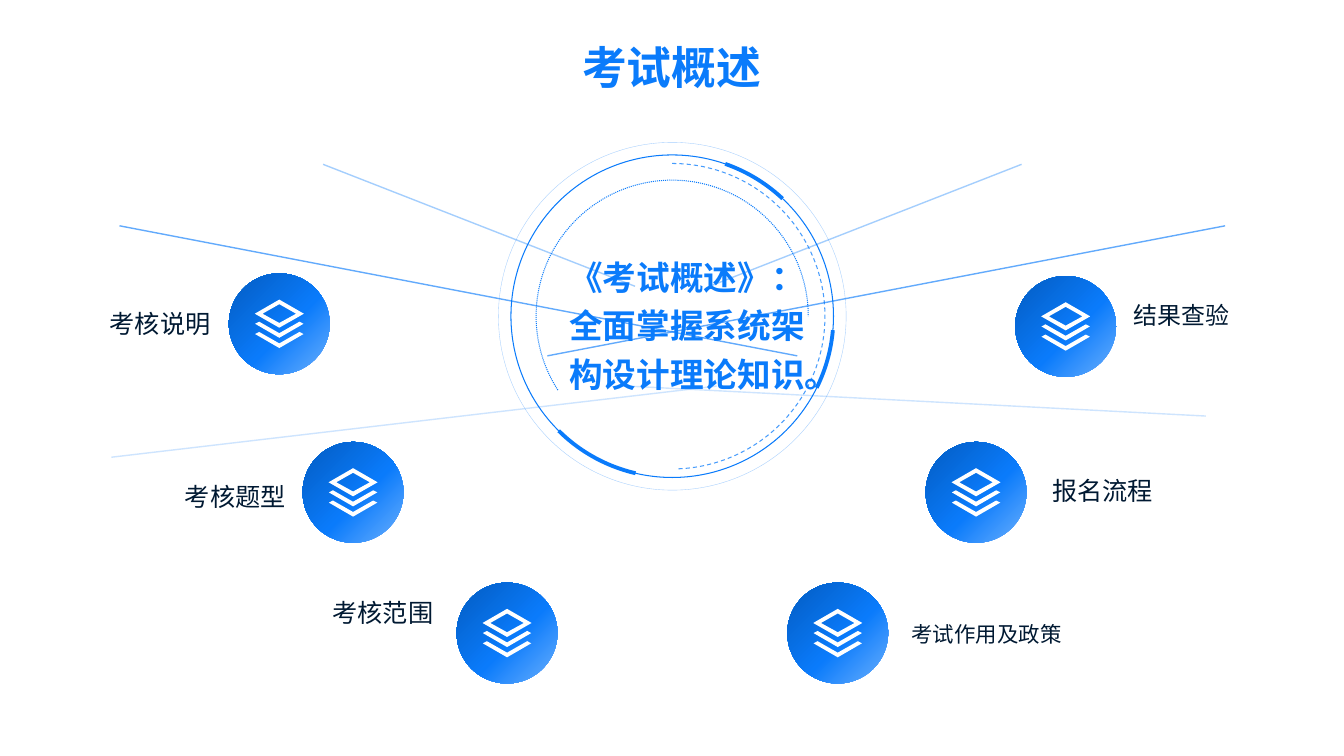
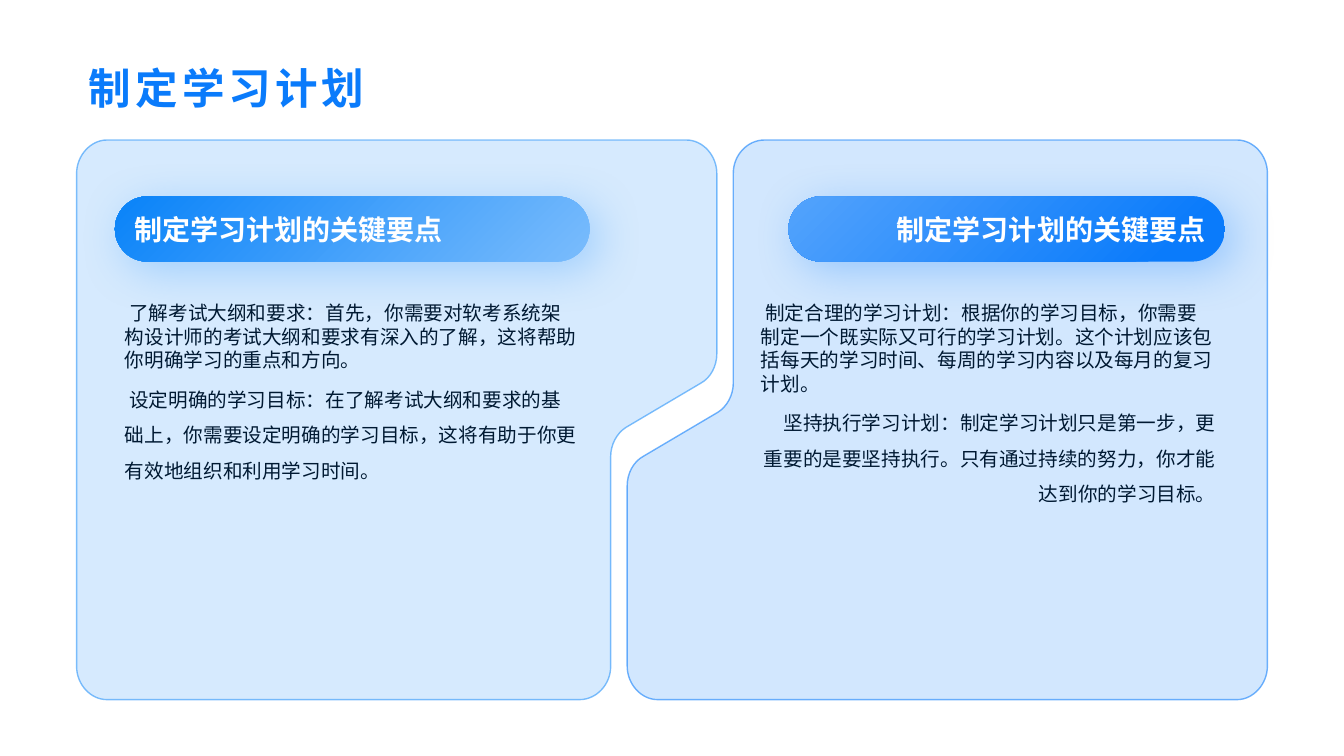
from lxml.etree import SubElement
from pptx import Presentation
from pptx.dml.color import RGBColor
from pptx.enum.dml import MSO_LINE_DASH_STYLE as Dash
from pptx.enum.shapes import MSO_CONNECTOR, MSO_SHAPE as Shape
from pptx.enum.text import MSO_ANCHOR as Anchor, MSO_AUTO_SIZE as AutoSize, PP_ALIGN as Align
from pptx.oxml import parse_xml
from pptx.oxml.ns import nsdecls, qn
from pptx.util import Pt

COLORS = {
    "blue": "0A7BFB", "ink": "001932", "white": "FFFFFF",
    "light": "6CB0FD", "deep": "035CC1", "sky": "7ABCFC",
    "azure": "2290FA", "pill_left": "0983F9", "pill_right": "53A3FC",
}
CJK, LATIN = "Noto Sans CJK SC", "Roboto"

OVERVIEW_TITLE = "考试概述"
OVERVIEW_CORE = "《考试概述》：全面掌握系统架构设计理论知识。"
RING_CENTER = (480.2, 225.9)
# diameter, line width, opacity
RINGS = [(248.4, 0.25, 36), (230.4, 0.75, 100)]
# diameter, start and end degrees, line width, opacity, dash
ARCS = [
    (194.4, 147.13, 0, 0.75, 100, Dash.ROUND_DOT),
    (218.2, 270, 88.24, 0.75, 75, Dash.DASH),
    (230.4, 289.2, 313.2, 2.75, 100, None),
    (230.4, 4.96, 26.38, 2.75, 100, None),
    (230.4, 103.13, 134.72, 2.75, 100, None),
]
# start, end, opacity
RAYS = [
    ((506.9, 204.5), (729.7, 117.4), 36),
    ((391, 254.2), (875.1, 161.3), 64),
    ((453.6, 204.5), (230.8, 117.4), 36),
    ((569.5, 254.2), (85.4, 161.3), 64),
    ((511.9, 275.8), (79.6, 326.6), 20),
    ((448.6, 275.8), (861.4, 297.2), 20),
]
# label, badge centre, label corner, size, line spacing, alignment
TOPICS = [
    ("考核说明", (199.5, 231.3), (27.1, 214.3), 18, 1, Align.RIGHT),
    ("考核题型", (252.2, 351.7), (80.8, 338.2), 18, 1, Align.RIGHT),
    ("考核范围", (362.2, 452.2), (186.3, 421), 18, 1, Align.RIGHT),
    ("考试作用及政策", (598.4, 452.2), (643.7, 437.4), 15.3, 0.9, Align.LEFT),
    ("报名流程", (697.2, 351.7), (744.5, 333.9), 18, 1, Align.LEFT),
    ("结果查验", (761.2, 233.2), (802.8, 208.1), 17.1, 1, Align.LEFT),
]
BADGE = 72
CHEVRON = [(14.4, -1.5), (17.3, 0), (0, 10), (-17.3, 0), (-14.4, -1.5), (0, 6.7)]
LAYERS_ICON = [
    [(x, y + 7.3) for x, y in CHEVRON],
    CHEVRON,
    [(0, -17.3), (17.5, -7.2), (0, 2.8), (-17.5, -7.2)],
    [(0, -14), (-12, -7.2), (0, -0.6), (12, -7.2)],
]

PLAN_TITLE = "制定学习计划"
PLAN_HEADING = "制定学习计划的关键要点"
# Bezier corners of the left panel; the right one is turned by half a circle
PANEL_CORNERS = [
    [(490.3, 100), (502, 100), (512, 111), (512, 124)],
    [(512, 252.7), (512, 261.4), (507.6, 270), (500.4, 273.8)],
    [(447.1, 305.3), (440.6, 309.4), (436.2, 317.5), (436.2, 326.2)],
    [(436.2, 476), (436.2, 489), (426, 499.7), (414, 499.7)],
    [(76.3, 499.7), (64.8, 499.7), (54.7, 489), (54.7, 476)],
    [(54.7, 124), (54.7, 111), (64.8, 100), (76.3, 100)],
]
PANELS = [
    {"turned": False, "fill": "sky", "line": "azure", "align": Align.LEFT,
     "pill": (82.1, 140.3, 339.1, 46.6), "stops": [(0, "pill_left"), (100, "sky")],
     "shadow": ("azure", 31), "body": (82.1, 211.7, 339.1, 225.4),
     "text": ["了解考试大纲和要求：首先，你需要对软考系统架构设计师的考试大纲和要求有深入的了解，这将帮助你明确学习的重点和方向。",
              "设定明确的学习目标：在了解考试大纲和要求的基础上，你需要设定明确的学习目标，这将有助于你更有效地组织和利用学习时间。"]},
    {"turned": True, "fill": "light", "line": "blue", "align": Align.RIGHT,
     "pill": (563.2, 140.3, 311.8, 46.6), "stops": [(0, "pill_right"), (87, "blue")],
     "shadow": ("blue", 30), "body": (536.4, 211.7, 339.1, 225.4),
     "text": ["制定合理的学习计划：根据你的学习目标，你需要制定一个既实际又可行的学习计划。这个计划应该包括每天的学习时间、每周的学习内容以及每月的复习计划。",
              "坚持执行学习计划：制定学习计划只是第一步，更重要的是要坚持执行。只有通过持续的努力，你才能达到你的学习目标。"]},
]


def rgb(name):
    return RGBColor.from_string(COLORS[name])


def points(values):
    return [Pt(value) for value in values]


def set_opacity(element, percent):
    if percent < 100:
        for color in element.iter(qn("a:srgbClr")):
            SubElement(color, qn("a:alpha"), val=str(percent * 1000))


def set_line(line, color, width, opacity=100, dash=None):
    line.color.rgb = rgb(color)
    line.width = Pt(width)
    if dash:
        line.dash_style = dash
    set_opacity(line._get_or_add_ln(), opacity)


def set_gradient(shape, stops, direction):
    """Fill with (percent, colour) stops; direction is the closing DrawingML element."""
    shape.fill.gradient()
    old = shape._element.spPr.find(qn("a:gradFill"))
    marks = "".join(f'<a:gs pos="{at * 1000}"><a:srgbClr val="{COLORS[color]}"/></a:gs>'
                    for at, color in stops)
    new = parse_xml(f'<a:gradFill {nsdecls("a")} rotWithShape="1">'
                    f"<a:gsLst>{marks}</a:gsLst>{direction}</a:gradFill>")
    old.getparent().replace(old, new)


def write(shape, texts, size, color="ink", bold=False, align=Align.LEFT, spacing=1.0,
          font=CJK, anchor=Anchor.MIDDLE, tracking=0):
    """Put the texts into the shape, one paragraph each, and return the paragraphs."""
    frame = shape.text_frame
    frame.word_wrap = True
    frame.auto_size = AutoSize.NONE
    frame.vertical_anchor = anchor
    for index, text in enumerate(texts):
        para = frame.add_paragraph() if index else frame.paragraphs[0]
        para.alignment = align
        para.line_spacing = spacing
        span = para.add_run()
        span.text = text
        span.font.name = font
        span.font.size = Pt(size)
        span.font.bold = bold
        span.font.color.rgb = rgb(color)
        props = span._r.get_or_add_rPr()
        SubElement(props, qn("a:ea"), typeface=CJK)
        if tracking:
            props.set("spc", str(tracking * 100))
    return frame.paragraphs


def add_titled_slide(deck, text, area, **style):
    page = deck.slides.add_slide(deck.slide_layouts[5])
    title = page.shapes.title
    title.left, title.top, title.width, title.height = points(area)
    write(title, [text], color="blue", bold=True, **style)
    return page


def add_plain(page, kind, area):
    shape = page.shapes.add_shape(kind, *points(area))
    shape.shadow.inherit = False
    return shape


def around(center, size):
    return center[0] - size / 2, center[1] - size / 2, size, size


def add_outline(page, contours):
    """Draw closed contours, given in points, as one shape."""
    scaled = [[(x * 100, y * 100) for x, y in contour] for contour in contours]
    builder = page.shapes.build_freeform(*scaled[0][0], scale=127.0)
    for index, contour in enumerate(scaled):
        if index:
            builder.move_to(*contour[0])
        builder.add_line_segments(contour[1:], close=True)
    shape = builder.convert_to_shape()
    shape.shadow.inherit = False
    shape.fill.solid()
    return shape


def round_corners(shape):
    """Turn the last three of every four outline points into one Bezier curve."""
    segments = list(shape._element.spPr.iter(qn("a:lnTo")))
    for first in range(0, len(segments), 4):
        corner = segments[first:first + 3]
        curve = parse_xml(f'<a:cubicBezTo {nsdecls("a")}/>')
        corner[0].addprevious(curve)
        for segment in corner:
            curve.append(segment[0])
            segment.getparent().remove(segment)


def add_badge(page, center):
    disc = add_plain(page, Shape.OVAL, around(center, BADGE))
    set_gradient(disc, [(0, "light"), (44, "blue"), (100, "deep")],
                 f'<a:lin ang="{225 * 60000}" scaled="0"/>')
    disc.line.fill.background()
    icon = add_outline(page, [[(center[0] + x, center[1] + y) for x, y in contour]
                              for contour in LAYERS_ICON])
    icon.fill.fore_color.rgb = rgb("white")
    icon.line.fill.background()


def add_overview(deck):
    page = add_titled_slide(deck, OVERVIEW_TITLE, (162, 16.6, 635.8, 54), size=32,
                            align=Align.CENTER, spacing=1.2)
    for diameter, width, opacity in RINGS:
        ring = add_plain(page, Shape.OVAL, around(RING_CENTER, diameter))
        ring.fill.background()
        set_line(ring.line, "blue", width, opacity)
    for diameter, start, end, width, opacity, dash in ARCS:
        arc = add_plain(page, Shape.ARC, around(RING_CENTER, diameter))
        arc.adjustments[0], arc.adjustments[1] = start * 0.6, end * 0.6
        arc.fill.background()
        set_line(arc.line, "blue", width, opacity, dash)
    for start, end, opacity in RAYS:
        ray = page.shapes.add_connector(MSO_CONNECTOR.STRAIGHT, *points(start + end))
        set_line(ray.line, "blue", 1, opacity)
        SubElement(ray._element.spPr, qn("a:effectLst"))
    core = page.shapes.add_textbox(*points((396.4, 173.8, 188.6, 111.6)))
    write(core, [OVERVIEW_CORE], 24, color="blue", bold=True, align=Align.CENTER, spacing=1.2)
    for text, center, corner, size, spacing, align in TOPICS:
        add_badge(page, center)
        label = page.shapes.add_textbox(*points(corner + (130.3, 33.1)))
        write(label, [text], size, align=align, spacing=spacing, font=LATIN)


def add_pill(page, panel):
    pill = add_plain(page, Shape.ROUNDED_RECTANGLE, panel["pill"])
    pill.adjustments[0] = 0.5
    set_gradient(pill, panel["stops"],
                 '<a:path path="circle"><a:fillToRect r="100000" b="100000"/></a:path>')
    pill.line.fill.background()
    color, opacity = panel["shadow"]
    effects = pill._element.spPr.find(qn("a:effectLst"))
    shadow = SubElement(effects, qn("a:outerShdw"), blurRad=str(Pt(33)), dist=str(Pt(9)),
                        dir=str(45 * 60000), algn="tl", rotWithShape="0")
    SubElement(shadow, qn("a:srgbClr"), val=COLORS[color])
    set_opacity(shadow, opacity)
    write(pill, [PLAN_HEADING], 20, color="white", bold=True, align=panel["align"])


def add_plan(deck):
    page = add_titled_slide(deck, PLAN_TITLE, (56.2, 37.4, 744.5, 46.1), size=30.4,
                            align=Align.LEFT, spacing=1.1, tracking=3)
    outline = [point for corner in PANEL_CORNERS for point in corner]
    for panel in PANELS:
        contour = [(960 - x, 599.7 - y) for x, y in outline] if panel["turned"] else outline
        card = add_outline(page, [contour])
        round_corners(card)
        card.fill.fore_color.rgb = rgb(panel["fill"])
        set_opacity(card._element.spPr, 30)
        set_line(card.line, panel["line"], 1, 56)
        add_pill(page, panel)
        body = page.shapes.add_textbox(*points(panel["body"]))
        paras = write(body, panel["text"], 14, anchor=Anchor.TOP)
        for para in paras:
            para._p.get_or_add_pPr().set("indent", str(Pt(3.1)))
        last = paras[-1]
        last.alignment = panel["align"]
        last.line_spacing = 1.5
        last.space_before = last.space_after = Pt(3)


def main():
    deck = Presentation()
    deck.slide_width, deck.slide_height = Pt(960), Pt(540)
    add_overview(deck)
    add_plan(deck)
    deck.save("out.pptx")


if __name__ == "__main__":
    main()
